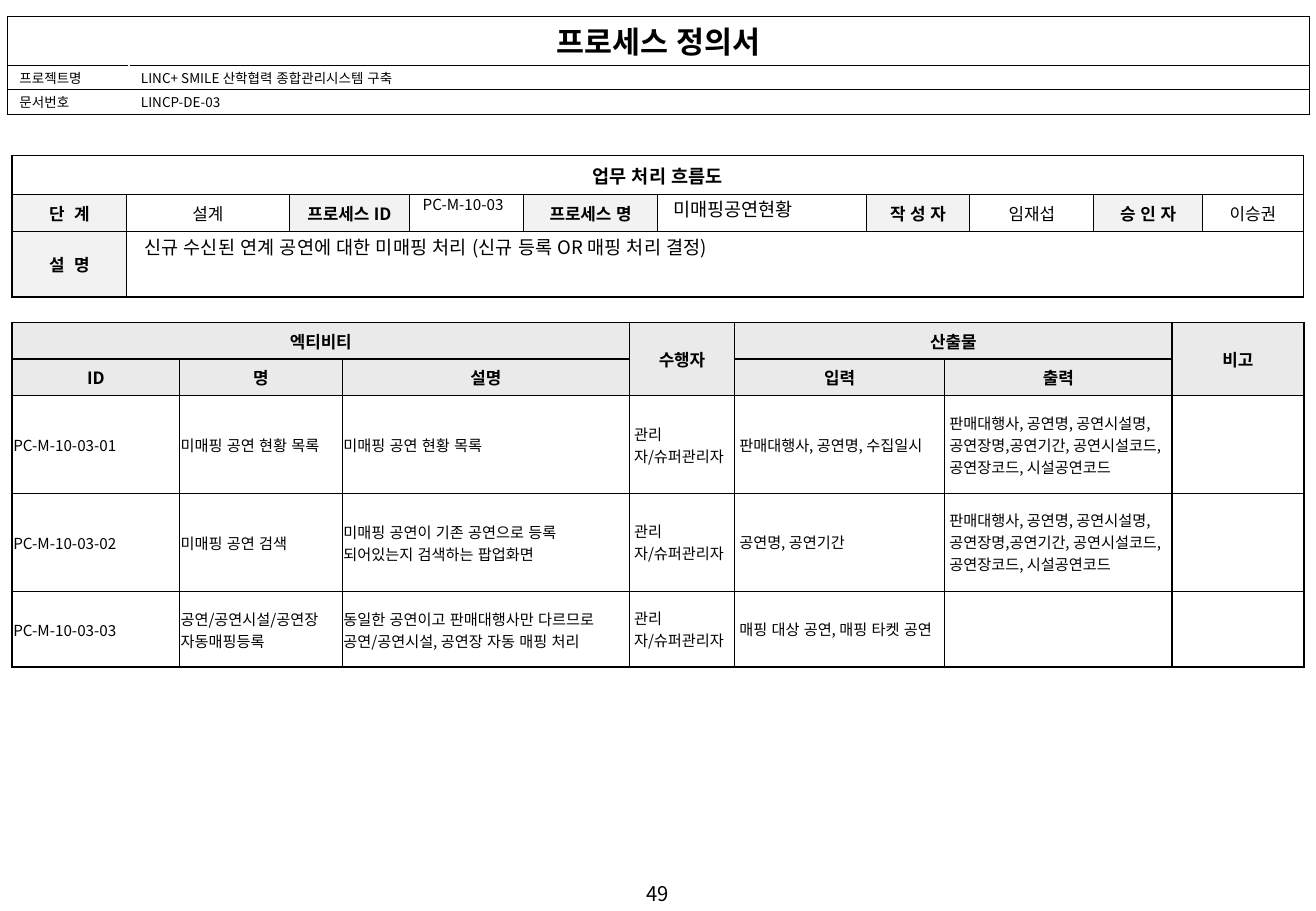
from dataclasses import dataclass

from lxml.etree import SubElement
from pptx import Presentation
from pptx.dml.color import RGBColor
from pptx.enum.lang import MSO_LANGUAGE_ID
from pptx.enum.text import MSO_ANCHOR, PP_ALIGN
from pptx.oxml.ns import qn
from pptx.util import Pt


@dataclass(frozen=True)
class Theme:
    font: str = "Noto Sans CJK KR"
    ink: str = "000000"
    paper: str = "FFFFFF"
    label: str = "F2F2F2"
    header: str = "EAEAEA"
    title_size: float = 18
    page_size: float = 12
    heading_size: float = 11
    label_size: float = 10
    body_size: float = 9
    field_size: float = 8


@dataclass(frozen=True)
class Look:
    size: float
    fill: str = Theme.paper
    bold: bool = False
    align: PP_ALIGN = PP_ALIGN.CENTER
    anchor: MSO_ANCHOR = MSO_ANCHOR.MIDDLE
    margins: tuple = (7.2, 3.6, 7.2, 3.6)


theme = Theme()
TOP, LEFT = MSO_ANCHOR.TOP, PP_ALIGN.LEFT
field_margins = (7.2, 1.44, 7.2, 1.44)
looks = {
    "T": Look(theme.title_size, bold=True, anchor=TOP, margins=field_margins),
    "F": Look(theme.field_size, align=LEFT, anchor=TOP, margins=field_margins),
    "H": Look(theme.heading_size, bold=True),
    "L": Look(theme.label_size, theme.label, bold=True),
    "V": Look(theme.label_size),
    "C": Look(theme.label_size, theme.header, bold=True),
    "A": Look(theme.body_size, align=LEFT, margins=(0.72, 0.72, 0.72, 0)),
    "D": Look(theme.body_size, align=LEFT, margins=(2.83, 2.83, 2.83, 2.83)),
}


def write(text_frame, text, look):
    """Fill a text frame with one paragraph in the given look."""
    text_frame.text = text
    text_frame.word_wrap = True
    text_frame.vertical_anchor = look.anchor
    (text_frame.margin_left, text_frame.margin_top,
     text_frame.margin_right, text_frame.margin_bottom) = map(Pt, look.margins)
    paragraph = text_frame.paragraphs[0]
    paragraph.alignment = look.align
    for run in paragraph.runs:
        run.font.name = theme.font
        run.font.size = Pt(look.size)
        run.font.bold = look.bold
        run.font.color.rgb = RGBColor.from_string(theme.ink)
        run.font.language_id = MSO_LANGUAGE_ID.KOREAN
        SubElement(run.font._element, qn("a:ea"), typeface=theme.font)
    if not text:
        SubElement(paragraph._p, qn("a:endParaRPr"), sz=str(int(look.size * 100)))


def set_borders(cell, borders):
    """Draw the left, right, top and bottom border from (width, colour) pairs."""
    properties = cell._tc.get_or_add_tcPr()
    for index, (side, (width, colour)) in enumerate(zip("LRTB", borders)):
        line = SubElement(properties, qn(f"a:ln{side}"), w=str(Pt(width)))
        solid = SubElement(line, qn("a:solidFill"))
        SubElement(solid, qn("a:srgbClr"), val=colour)
        properties.insert(index, line)


manager = "관리자/슈퍼관리자"
outputs = ("판매대행사, 공연명, 공연시설명, 공연장명,공연기간, "
           "공연시설코드, 공연장코드, 시설공연코드")

# Each merge is (first row, first column, last row, last column).
document_table = dict(
    left=4.3, top=9.7, inner=1, divider=theme.paper,
    columns=[72, 699.6], rows=[29, 14.4, 14.4],
    looks=["TT", "FF", "FF"], merges=[(0, 0, 0, 1)],
    texts=[["프로세스 정의서", ""],
           ["프로젝트명", "LINC+ SMILE 산학협력 종합관리시스템 구축"],
           ["문서번호", "LINCP-DE-03"]])

process_table = dict(
    left=7.2, top=92.3, inner=0.75, divider=theme.ink,
    columns=[67.7, 96.6, 71.2, 67.6, 79.4, 123.6, 61.4, 73.5, 64.4, 59.8],
    rows=[23.2, 21.6, 39],
    looks=["H" * 10, "LV" * 5, "L" + "V" * 9],
    merges=[(0, 0, 0, 9), (2, 1, 2, 9)],
    texts=[["업무 처리 흐름도"] + [""] * 9,
           ["단  계", "설계", "프로세스 ID", "", "프로세스 명", "",
            "작 성 자", "임재섭", "승 인 자", "이승권"],
           ["설  명"] + [""] * 9])

activity_table = dict(
    left=7.2, top=191.2, inner=0.75, divider=theme.ink,
    columns=[99.1, 96.5, 170.1, 62.4, 124.5, 134.7, 78.1],
    rows=[21.6, 21.6, 58, 58, 44.8],
    looks=["C" * 7] * 2 + ["AAADDDD"] * 3,
    merges=[(0, 0, 0, 2), (0, 3, 1, 3), (0, 4, 0, 5), (0, 6, 1, 6)],
    texts=[["엑티비티", "", "", "수행자", "산출물", "", "비고"],
           ["ID", "명", "설명", "", "입력", "출력", ""],
           ["PC-M-10-03-01", "미매핑 공연 현황 목록", "미매핑 공연 현황 목록",
            manager, "판매대행사, 공연명, 수집일시", outputs, ""],
           ["PC-M-10-03-02", "미매핑 공연 검색",
            "미매핑 공연이 기존 공연으로 등록 되어있는지 검색하는 팝업화면",
            manager, "공연명, 공연기간", outputs, ""],
           ["PC-M-10-03-03", "공연/공연시설/공연장 자동매핑등록",
            "동일한 공연이고 판매대행사만 다르므로 공연/공연시설, 공연장 자동 매핑 처리",
            manager, "매핑 대상 공연, 매핑 타켓 공연", "", ""]])

presentation = Presentation()
presentation.slide_width = Pt(779.76)
presentation.slide_height = Pt(540)
slide = presentation.slides.add_slide(presentation.slide_layouts[6])

for layout in (document_table, process_table, activity_table):
    widths, heights = layout["columns"], layout["rows"]
    table = slide.shapes.add_table(
        len(heights), len(widths), Pt(layout["left"]), Pt(layout["top"]),
        Pt(sum(widths)), Pt(sum(heights))).table
    table.first_row = table.horz_banding = False
    for column, width in zip(table.columns, widths):
        column.width = Pt(width)
    for row, height in zip(table.rows, heights):
        row.height = Pt(height)
    for first_row, first_column, last_row, last_column in layout["merges"]:
        table.cell(first_row, first_column).merge(table.cell(last_row, last_column))

    outer = (1, theme.ink)
    vertical = (layout["inner"], layout["divider"])
    horizontal = (layout["inner"], theme.ink)
    for row_index, texts in enumerate(layout["texts"]):
        for column_index, text in enumerate(texts):
            cell = table.cell(row_index, column_index)
            look = looks[layout["looks"][row_index][column_index]]
            write(cell.text_frame, text, look)
            cell.vertical_anchor = look.anchor
            (cell.margin_left, cell.margin_top,
             cell.margin_right, cell.margin_bottom) = map(Pt, look.margins)
            cell.fill.solid()
            cell.fill.fore_color.rgb = RGBColor.from_string(look.fill)
            span = cell.span_width if cell.is_merge_origin else 1
            set_borders(cell, [
                outer if column_index == 0 else vertical,
                outer if column_index + span == len(widths) else vertical,
                outer if row_index == 0 else horizontal,
                outer if row_index + 1 == len(heights) else horizontal])

process_id = Look(theme.body_size, align=LEFT, anchor=TOP)
process_text = Look(theme.heading_size, align=LEFT, anchor=TOP)
for text, left, top, width, height, look in [
    ("PC-M-10-03", 243.4, 112.3, 67, 18, process_id),
    ("미매핑공연현황", 391.7, 113.8, 123, 21, process_text),
    ("신규 수신된 연계 공연에 대한 미매핑 처리 (신규 등록 OR 매핑 처리 결정)",
     78.5, 136.1, 686, 21, process_text),
    ("49", 0, 519.1, 779.76, 21.6, Look(theme.page_size, anchor=TOP)),
]:
    text_box = slide.shapes.add_textbox(Pt(left), Pt(top), Pt(width), Pt(height))
    write(text_box.text_frame, text, look)

presentation.save("out.pptx")
